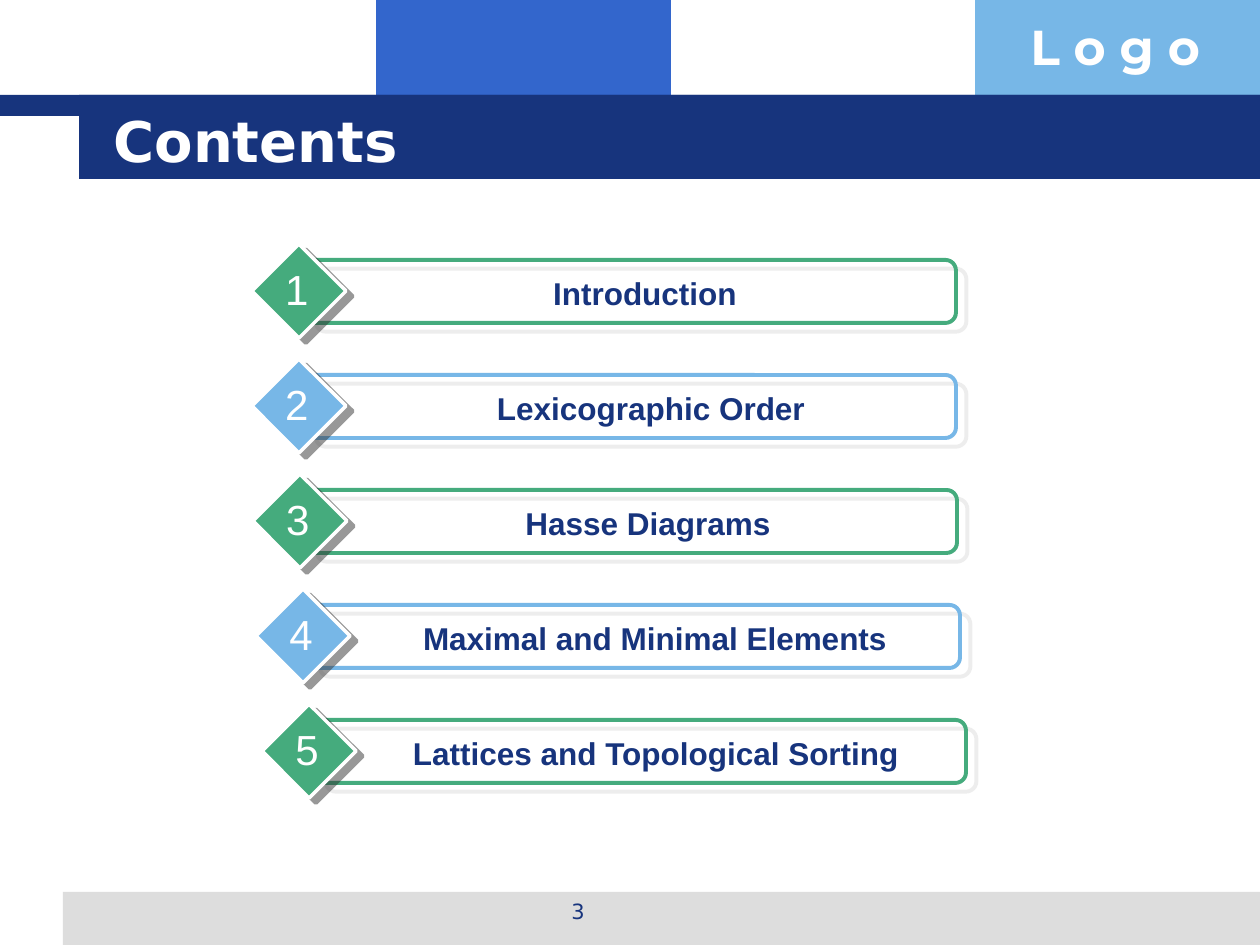
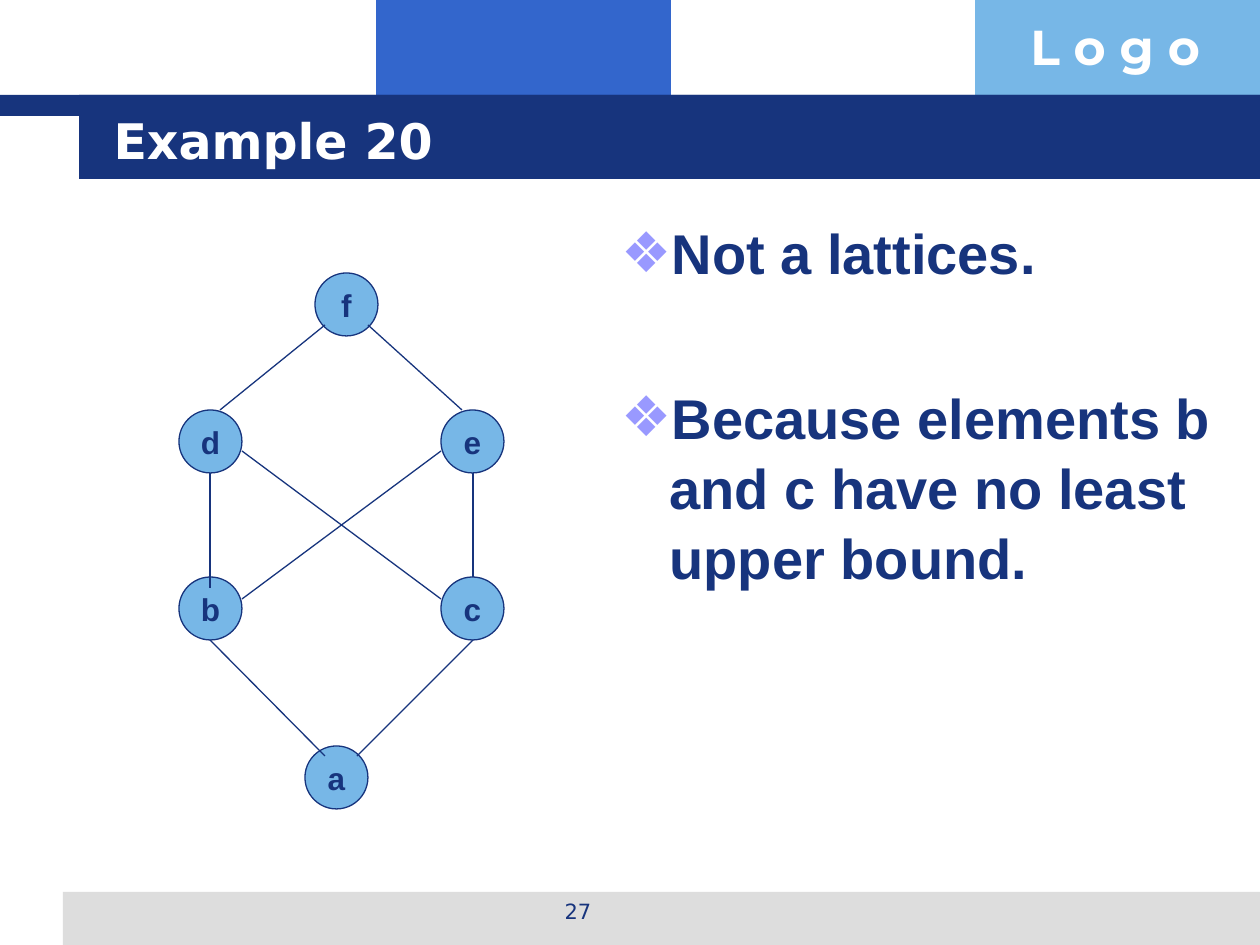
"""Build a contents slide and a Hasse diagram slide that share one banded master."""
from lxml.etree import SubElement
from pptx import Presentation
from pptx.dml.color import RGBColor
from pptx.enum.shapes import MSO_CONNECTOR, MSO_SHAPE
from pptx.enum.text import MSO_ANCHOR, MSO_AUTO_SIZE, PP_ALIGN
from pptx.oxml.ns import qn
from pptx.util import Emu, Pt

PIXELS_PER_INCH = 126
NAVY, BLUE, SKY, GREEN = "17347D", "3366CC", "77B7E7", "45AB7D"
GREY, DARK_GREY, WHITE, LILAC = "DDDDDD", "333333", "FFFFFF", "9999FF"
BODY_FONT, TITLE_FONT, LOGO_FONT = "Arial", "DejaVu Sans", "Montserrat"


def px(length):
    return Emu(round(length * 914400 / PIXELS_PER_INCH))


def color(hex_string):
    return RGBColor.from_string(hex_string)


def write_text(frame, text, paragraph=None, *, size=18, font=BODY_FONT, ink=NAVY,
               bold=True, align=PP_ALIGN.CENTER, anchor=MSO_ANCHOR.TOP, wrap=True):
    frame.word_wrap = wrap
    frame.auto_size = MSO_AUTO_SIZE.NONE
    frame.vertical_anchor = anchor
    paragraph = paragraph or frame.paragraphs[0]
    paragraph.alignment = align
    run = paragraph.add_run()
    run.text = text
    run.font.size = Pt(size)
    run.font.name = font
    run.font.bold = bold
    run.font.color.rgb = color(ink)


def add_bullet(paragraph, symbol, ink, indent):
    properties = paragraph._p.get_or_add_pPr()
    properties.set("marL", str(px(indent)))
    properties.set("indent", str(-px(indent)))
    bullet_color = SubElement(properties, qn("a:buClr"))
    SubElement(bullet_color, qn("a:srgbClr"), val=ink)
    SubElement(properties, qn("a:buChar"), char=symbol)


def add_shadow(shape, ink, distance, angle):
    effects = shape._element.spPr.find(qn("a:effectLst"))
    shadow = SubElement(effects, qn("a:outerShdw"), blurRad="0", dist=str(Pt(distance)),
                        dir=str(angle * 60000), algn="ctr", rotWithShape="0")
    shadow_color = SubElement(shadow, qn("a:srgbClr"), val=ink)
    SubElement(shadow_color, qn("a:alpha"), val="50000")


class Deck:
    def __init__(self):
        self.presentation = Presentation()
        self.presentation.slide_width = px(1260)
        self.presentation.slide_height = px(945)
        self.slide = None

    def start_slide(self, layout, title, number, title_size):
        self.slide = self.presentation.slides.add_slide(
            self.presentation.slide_layouts.get_by_name(layout))
        self.place(self.slide.shapes.title, 101, 101, 1075, 78)
        write_text(self.slide.shapes.title.text_frame, title, size=title_size, font=TITLE_FONT,
                   ink=WHITE, align=PP_ALIGN.LEFT, anchor=MSO_ANCHOR.MIDDLE)
        self.text(number, 431, 892, 294, 44, size=12, font=TITLE_FONT, bold=False)

    def place(self, shape, left, top, width, height):
        shape.left, shape.top = px(left), px(top)
        shape.width, shape.height = px(width), px(height)

    def shape(self, preset, left, top, width, height, fill=None, line=None, weight=1):
        shape = self.slide.shapes.add_shape(preset, px(left), px(top), px(width), px(height))
        shape.shadow.inherit = False
        if fill:
            shape.fill.solid()
            shape.fill.fore_color.rgb = color(fill)
        else:
            shape.fill.background()
        if line:
            shape.line.color.rgb = color(line)
            shape.line.width = Pt(weight)
        else:
            shape.line.fill.background()
        return shape

    def text(self, text, left, top, width, height, **style):
        box = self.slide.shapes.add_textbox(px(left), px(top), px(width), px(height))
        write_text(box.text_frame, text, **style)
        return box

    def line(self, start, end):
        connector = self.slide.shapes.add_connector(
            MSO_CONNECTOR.STRAIGHT, *map(px, start), *map(px, end))
        connector.line.color.rgb = color(NAVY)
        connector.line.width = Pt(0.75)
        SubElement(connector._element.spPr, qn("a:effectLst"))

    def bullets(self, items, left, top, width, height, gap):
        body = self.slide.placeholders[1]
        self.place(body, left, top, width, height)
        frame = body.text_frame
        for index, item in enumerate(items):
            paragraph = frame.add_paragraph() if index else frame.paragraphs[0]
            paragraph.line_spacing = 1.04
            paragraph.space_before = Pt(gap if index else 0)
            add_bullet(paragraph, "❖", LILAC, 48)
            write_text(frame, item, paragraph, size=32, align=PP_ALIGN.LEFT)

    def fill_master(self):
        bands = [(376, 0, 295, 116, BLUE), (975, 0, 285, 116, SKY), (63, 892, 1197, 53, GREY),
                 (0, 95, 1260, 21, NAVY), (79, 95, 1181, 84, NAVY)]
        shapes = [self.shape(MSO_SHAPE.RECTANGLE, *place, fill=fill) for *place, fill in bands]
        shapes.append(self.text("L o g o", 1018, 10, 243, 72, size=28, font=LOGO_FONT,
                                ink=WHITE, align=PP_ALIGN.LEFT))
        tree = self.presentation.slide_master.shapes._spTree
        for index, shape in enumerate(shapes):
            shape._element.nvSpPr.cNvPr.set("id", str(100 + index))
            tree.insert(2 + index, shape._element)

    def agenda_row(self, number, topic, left, top, topic_center, accent):
        bar = self.shape(MSO_SHAPE.ROUNDED_RECTANGLE, left, top, 651, 63,
                         line=accent, weight=2.25)
        add_shadow(bar, GREY, 7.8, 40)
        diamond = self.shape(MSO_SHAPE.DIAMOND, left - 53, top - 16, 94, 94,
                             fill=accent, line=WHITE, weight=2)
        add_shadow(diamond, DARK_GREY, 5, 37)
        self.text(topic, topic_center - 320, top + 8, 640, 50)
        self.text(str(number), left - 32, top - 3, 48, 63, size=24, ink=WHITE,
                  bold=False, wrap=False)

    def node(self, name, left, top):
        circle = self.shape(MSO_SHAPE.OVAL, left, top, 63, 63, fill=SKY, line=NAVY, weight=0.75)
        write_text(circle.text_frame, name, anchor=MSO_ANCHOR.MIDDLE, wrap=False)


def build_contents(deck):
    deck.start_slide("Title Only", "Contents", "3", 32)
    deck.fill_master()
    topics = [("Introduction", 305, 645), ("Lexicographic Order", 305, 651),
              ("Hasse Diagrams", 306, 648), ("Maximal and Minimal Elements", 309, 655),
              ("Lattices and Topological Sorting", 315, 656)]
    for index, (topic, left, center) in enumerate(topics):
        deck.agenda_row(index + 1, topic, left, 260 + 115 * index, center,
                        (GREEN, SKY)[index % 2])


def build_example(deck):
    deck.start_slide("Title and Content", "Example 20", "27", 28)
    deck.bullets(["Not a lattices.", "Because elements b and c have no least upper bound."],
                 609, 210, 620, 640, gap=54)
    nodes = {"d": (179, 410), "b": (179, 577), "e": (441, 410),
             "f": (315, 273), "a": (305, 746), "c": (441, 577)}
    for name, corner in nodes.items():
        deck.node(name, *corner)
    edges = [((325, 325), (220, 410)), ((368, 325), (462, 410)),
             ((210, 473), (210, 588)), ((473, 473), (473, 577)),
             ((210, 640), (325, 756)), ((473, 640), (357, 756)),
             ((242, 451), (441, 599)), ((242, 599), (441, 451))]
    for start, end in edges:
        deck.line(start, end)


def main():
    deck = Deck()
    build_contents(deck)
    build_example(deck)
    deck.presentation.save("out.pptx")


if __name__ == "__main__":
    main()
